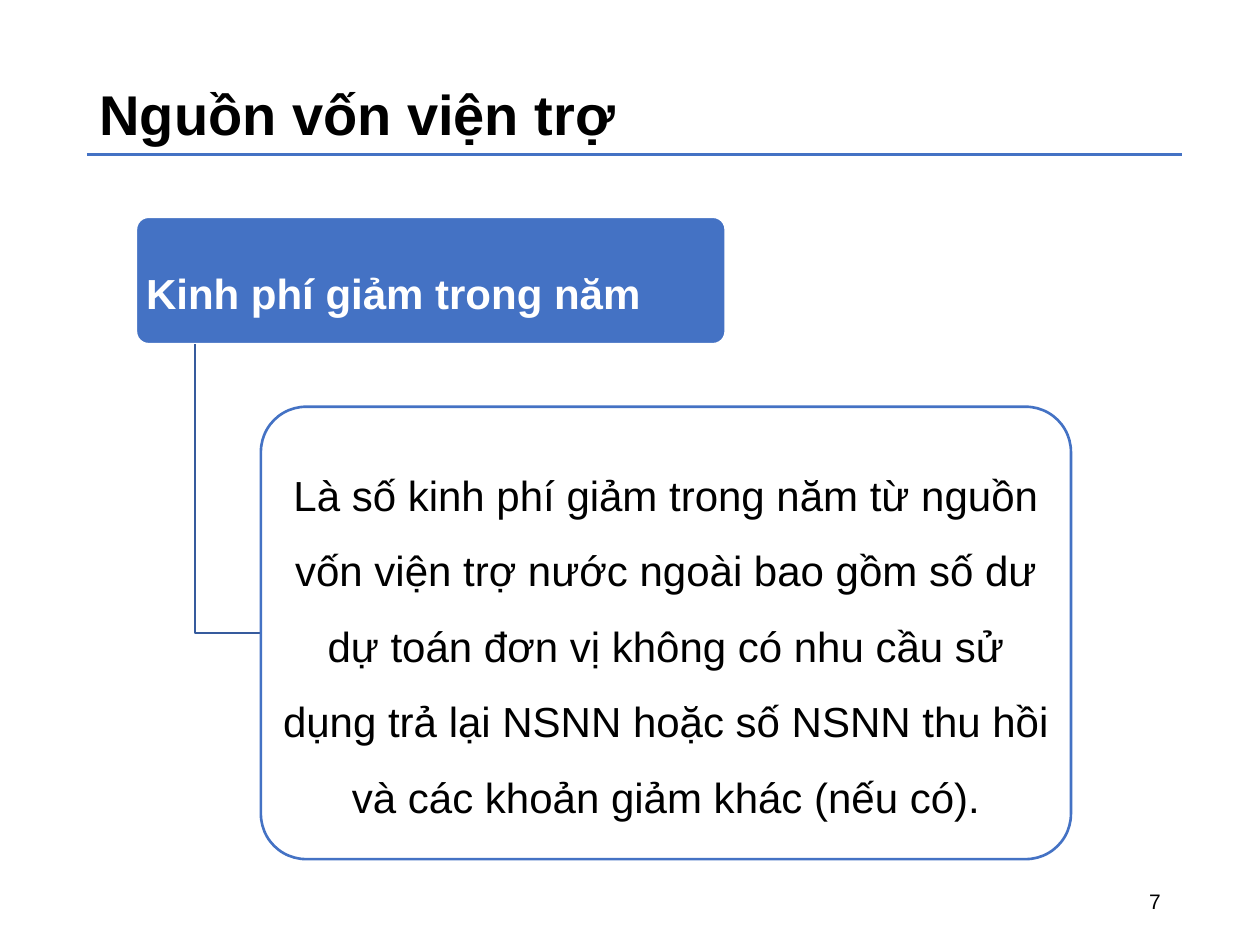
from pptx import Presentation
from pptx.dml.color import RGBColor
from pptx.enum.shapes import MSO_CONNECTOR, MSO_SHAPE
from pptx.enum.text import MSO_ANCHOR, PP_ALIGN
from pptx.oxml.ns import qn
from pptx.util import Cm, Pt
from lxml.etree import SubElement

TITLE = "Nguồn vốn viện trợ"
PAGE = "7"
HEAD = dict(text="Kinh phí giảm trong năm", at=(2.74, 4.37, 11.89, 2.57),
            fill="4472C4", line="FFFFFF", color="FFFFFF", bold=True, align=PP_ALIGN.LEFT)
DETAIL = dict(text="Là số kinh phí giảm trong năm từ nguồn vốn viện trợ nước ngoài "
                   "bao gồm số dư dự toán đơn vị không có nhu cầu sử dụng trả lại NSNN "
                   "hoặc số NSNN thu hồi và các khoản giảm khác (nếu có).",
              at=(5.26, 8.2, 16.33, 9.12),
              fill="FFFFFF", line="4472C4", color="000000", bold=False, align=PP_ALIGN.CENTER)


def rgb(value):
    return RGBColor.from_string(value)


def place(sp, at):
    sp.left, sp.top, sp.width, sp.height = map(Cm, at)


def stroke(sp, color):
    sp.line.color.rgb = rgb(color)
    sp.line.width = Pt(1.5)


def write(sp, text, size, color="000000", bold=False, align=PP_ALIGN.LEFT,
          anchor=MSO_ANCHOR.MIDDLE):
    tf = sp.text_frame
    tf.word_wrap = True
    tf.vertical_anchor = anchor
    p = tf.paragraphs[0]
    p.text = text
    p.alignment = align
    p.font.name = "Arial"
    p.font.size = Pt(size)
    p.font.bold = bold
    p.font.color.rgb = rgb(color)
    return p


def add_box(s, box):
    sp = s.shapes.add_shape(MSO_SHAPE.ROUNDED_RECTANGLE, *map(Cm, box["at"]))
    sp.adjustments[0] = 0.1
    sp.shadow.inherit = False
    sp.fill.solid()
    sp.fill.fore_color.rgb = rgb(box["fill"])
    stroke(sp, box["line"])
    tf = sp.text_frame
    tf.margin_left = tf.margin_right = Cm(0.13)
    tf.margin_top = tf.margin_bottom = Cm(0.08)
    p = write(sp, box["text"], 24, box["color"], box["bold"], box["align"])
    p.line_spacing = 1.5


def add_elbow(s, parent, child):
    left, top, width, height = parent["at"]
    x, y = Cm(left + width * 0.1), Cm(top + height)
    end_x = Cm(child["at"][0])
    end_y = Cm(child["at"][1] + child["at"][3] / 2)
    fb = s.shapes.build_freeform(x, y)
    fb.add_line_segments([(x, end_y), (end_x, end_y)], close=False)
    sp = fb.convert_to_shape()
    sp.shadow.inherit = False
    sp.fill.background()
    stroke(sp, "365B9D")


prs = Presentation()
prs.slide_width, prs.slide_height = Cm(25.4), Cm(19.05)
s = prs.slides.add_slide(prs.slide_layouts[5])

rule = s.shapes.add_connector(MSO_CONNECTOR.STRAIGHT, Cm(1.75), Cm(3.12), Cm(23.83), Cm(3.12))
stroke(rule, "4472C4")
SubElement(rule._element.spPr, qn("a:effectLst"))

place(s.shapes.title, (1.75, 1.47, 12.7, 1.63))
write(s.shapes.title, TITLE, 32, bold=True, anchor=MSO_ANCHOR.TOP)

number = s.shapes.add_textbox(Cm(17.93), Cm(17.65), Cm(5.72), Cm(1.02))
write(number, PAGE, 12, align=PP_ALIGN.RIGHT)

add_box(s, HEAD)
add_elbow(s, HEAD, DETAIL)
add_box(s, DETAIL)

prs.save("out.pptx")
